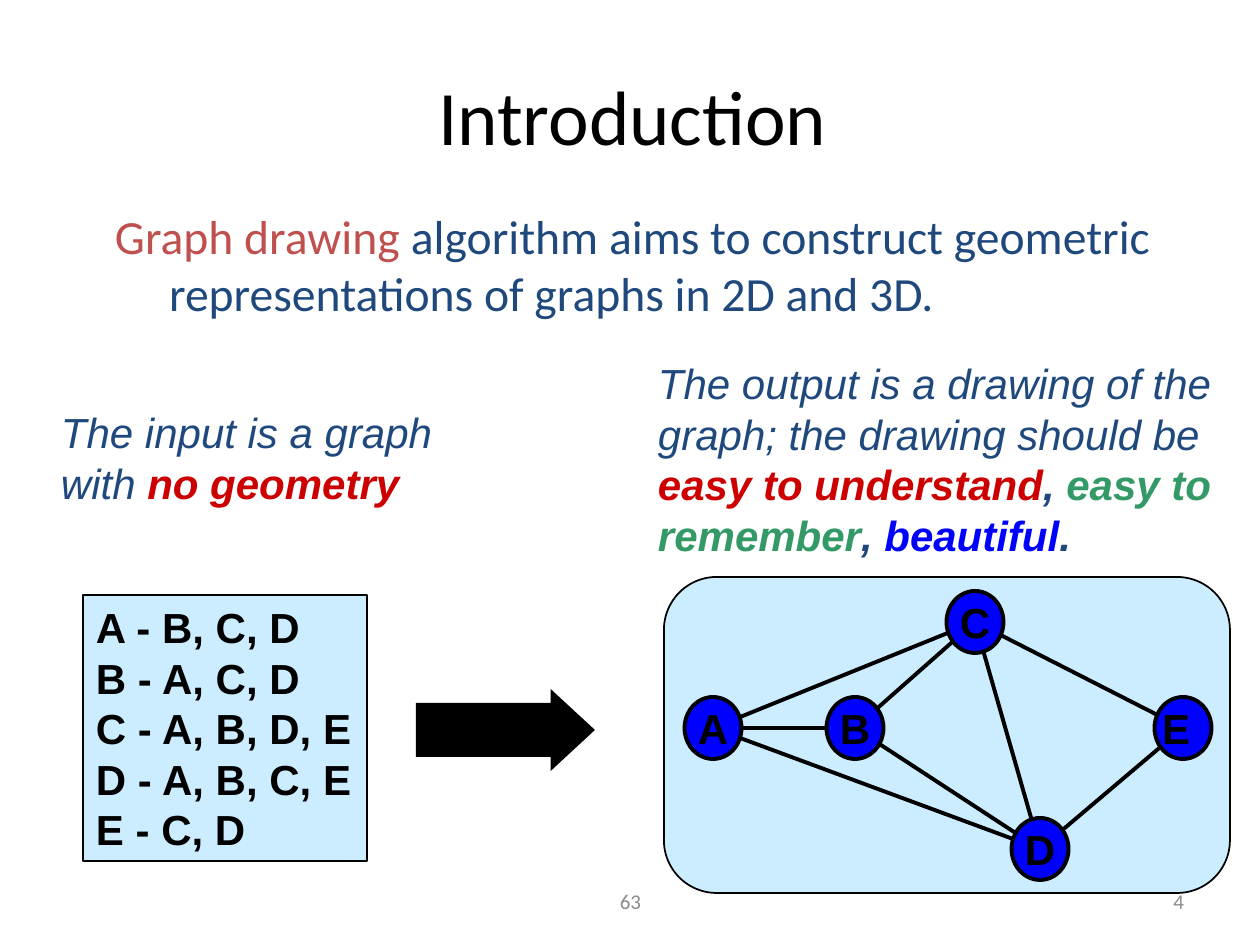
from pptx import Presentation, util as u
from pptx.dml.color import RGBColor
from pptx.enum import shapes, text
from pptx.oxml.ns import qn
from lxml import etree

PX = 914400 / 126
BLACK = RGBColor(0x00, 0x00, 0x00)
GREY = RGBColor(0x8C, 0x8C, 0x8C)
PALE = RGBColor(0xCC, 0xEC, 0xFF)
NAVY = RGBColor(0x1F, 0x49, 0x7D)
BRICK = RGBColor(0xC0, 0x50, 0x4D)
RED = RGBColor(0xCC, 0x00, 0x00)
GREEN = RGBColor(0x33, 0x99, 0x66)
BLUE = RGBColor(0x00, 0x00, 0xFF)

LEFT, CENTER, RIGHT = text.PP_ALIGN.LEFT, text.PP_ALIGN.CENTER, text.PP_ALIGN.RIGHT
TOP, MIDDLE = text.MSO_ANCHOR.TOP, text.MSO_ANCHOR.MIDDLE
ADJACENCY = ["A - B, C, D", "B - A, C, D", "C - A, B, D, E", "D - A, B, C, E", "E - C, D"]
NODES = {"A": (49, 151), "B": (191, 151), "D": (376, 272), "C": (311, 45), "E": (519, 151)}
EDGES = ["AB", "BC", "AC", "AD", "BD", "CD", "CE", "DE"]


def px(*values):
    """Turn pixel lengths into EMU."""
    return [u.Emu(round(v * PX)) for v in values]


def set_frame(tf, anchor=TOP, wrap=True, margins=(13, 6)):
    """Set anchor, wrapping and margins of a text frame."""
    tf.word_wrap, tf.vertical_anchor = wrap, anchor
    tf.margin_left, tf.margin_top = tf.margin_right, tf.margin_bottom = px(*margins)


def add_run(p, words, size, color, font="Arial", bold=False, italic=False):
    """Append one formatted run to a paragraph."""
    r = p.add_run()
    r.text = words
    f = r.font
    f.name, f.size, f.bold, f.italic = font, u.Pt(size), bold, italic
    f.color.rgb = color


def add_text(s, box, runs, size, anchor=TOP, align=LEFT, **style):
    """Place a text box of one paragraph made of (words, color, bold) runs."""
    tf = s.shapes.add_textbox(*px(*box)).text_frame
    set_frame(tf, anchor)
    p = tf.paragraphs[0]
    p.alignment = align
    for words, color, bold in runs:
        add_run(p, words, size, color, bold=bold, **style)
    return p


def add_block(s, kind, box, fill, line=None):
    """Place a flat preset shape with an optional black outline."""
    sp = s.shapes.add_shape(kind, *px(*box))
    sp.shadow.inherit = False
    sp.fill.solid()
    sp.fill.fore_color.rgb = fill
    if line:
        sp.line.color.rgb = BLACK
        sp.line.width = u.Pt(line)
    else:
        sp.line.fill.background()
    return sp


def add_title(s, box):
    """Move and format the title placeholder."""
    sp = s.shapes.title
    sp.left, sp.top, sp.width, sp.height = px(*box)
    set_frame(sp.text_frame, MIDDLE, margins=(9, 4))
    p = sp.text_frame.paragraphs[0]
    p.alignment = CENTER
    add_run(p, "Introduction", 44, BLACK, "Calibri")


def add_aim(s, box):
    """Place the opening statement with its hanging indent."""
    p = add_text(s, box, [
        ("Graph drawing", BRICK, False),
        (" algorithm aims to construct geometric representations of graphs in 2D and 3D.",
         NAVY, False),
    ], 27.2, font="Calibri")
    indent, = px(54)
    pPr = p._p.get_or_add_pPr()
    pPr.set("marL", str(indent))
    pPr.set("indent", str(-indent))


def add_adjacency(s, box):
    """Place the adjacency list."""
    sp = add_block(s, shapes.MSO_SHAPE.RECTANGLE, box, PALE, 1)
    tf = sp.text_frame
    set_frame(tf, MIDDLE, wrap=False)
    for i, row in enumerate(ADJACENCY):
        p = tf.add_paragraph() if i else tf.paragraphs[0]
        p.alignment = LEFT
        add_run(p, row, 24, BLACK, bold=True)


def add_edge(s, start, end):
    """Draw one straight edge between two points."""
    c = s.shapes.add_connector(shapes.MSO_CONNECTOR.STRAIGHT, *px(*start, *end))
    c.line.color.rgb = BLACK
    c.line.width = u.Pt(2.25)
    etree.SubElement(c._element.spPr, qn("a:effectLst"))


def add_graph(s, box):
    """Draw the panel, then edges between node centres, then the nodes."""
    x, y = box[:2]
    panel = add_block(s, shapes.MSO_SHAPE.ROUNDED_RECTANGLE, box, PALE, 1)
    panel.adjustments[0] = 0.167
    centres = {name: (x + dx, y + dy) for name, (dx, dy) in NODES.items()}
    for a, b in EDGES:
        add_edge(s, centres[a], centres[b])
    w, h = 57, 62
    for name, (cx, cy) in centres.items():
        sp = add_block(s, shapes.MSO_SHAPE.OVAL, (cx - w / 2, cy - h / 2, w, h), BLUE, 2.25)
        set_frame(sp.text_frame, MIDDLE, wrap=False)
        p = sp.text_frame.paragraphs[0]
        p.alignment = RIGHT if name == "E" else CENTER
        add_run(p, name, 24, BLACK, bold=True)


def add_arrow(s, box):
    """Place the arrow from input to output."""
    sp = add_block(s, shapes.MSO_SHAPE.RIGHT_ARROW, box, BLACK)
    sp.adjustments[0], sp.adjustments[1] = 0.66, 0.54


def main():
    """Build the slide and save it."""
    prs = Presentation()
    prs.slide_width, prs.slide_height = px(1260, 945)
    s = prs.slides.add_slide(prs.slide_layouts[5])
    add_text(s, (431, 876, 399, 50), [("63", GREY, False)], 12, MIDDLE, CENTER, font="Calibri")
    add_text(s, (903, 876, 294, 50), [("4", GREY, False)], 12, MIDDLE, RIGHT, font="Calibri")
    add_title(s, (20, 29, 1225, 171))
    add_aim(s, (102, 201, 1125, 150))
    add_adjacency(s, (83, 595, 284, 266))
    add_text(s, (48, 401, 456, 113), [
        ("The input is a graph with ", NAVY, False),
        ("no geometry", RED, True),
    ], 24, italic=True)
    add_graph(s, (664, 577, 566, 316))
    add_arrow(s, (416, 689, 179, 82))
    add_text(s, (645, 352, 585, 214), [
        ("The output is a drawing of the graph; the drawing should be ", NAVY, False),
        ("easy to understand", RED, True),
        (", ", NAVY, True),
        ("easy to remember", GREEN, True),
        (", ", NAVY, True),
        ("beautiful", BLUE, True),
        (".", NAVY, True),
    ], 24, italic=True)
    prs.save("out.pptx")


if __name__ == "__main__":
    main()
